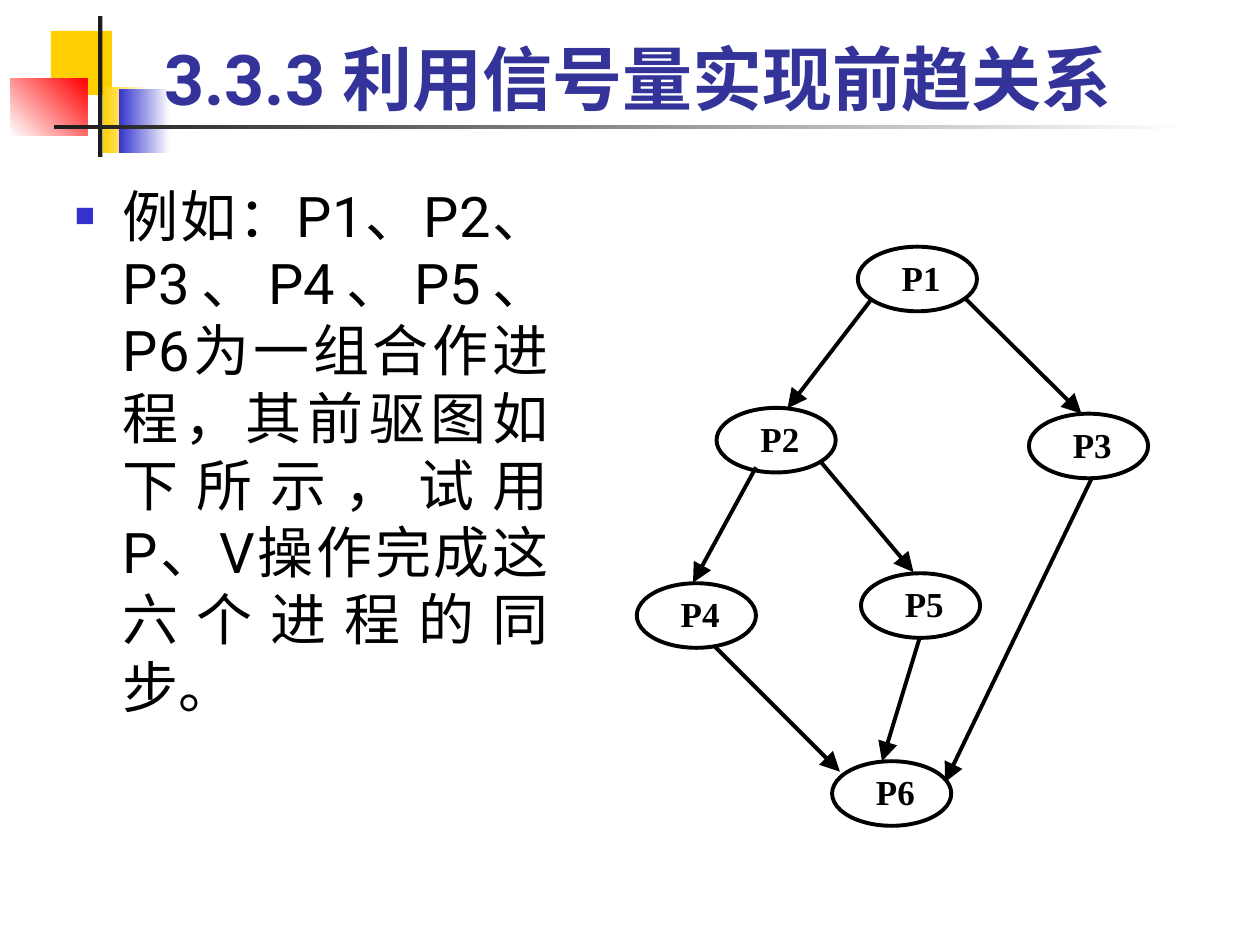
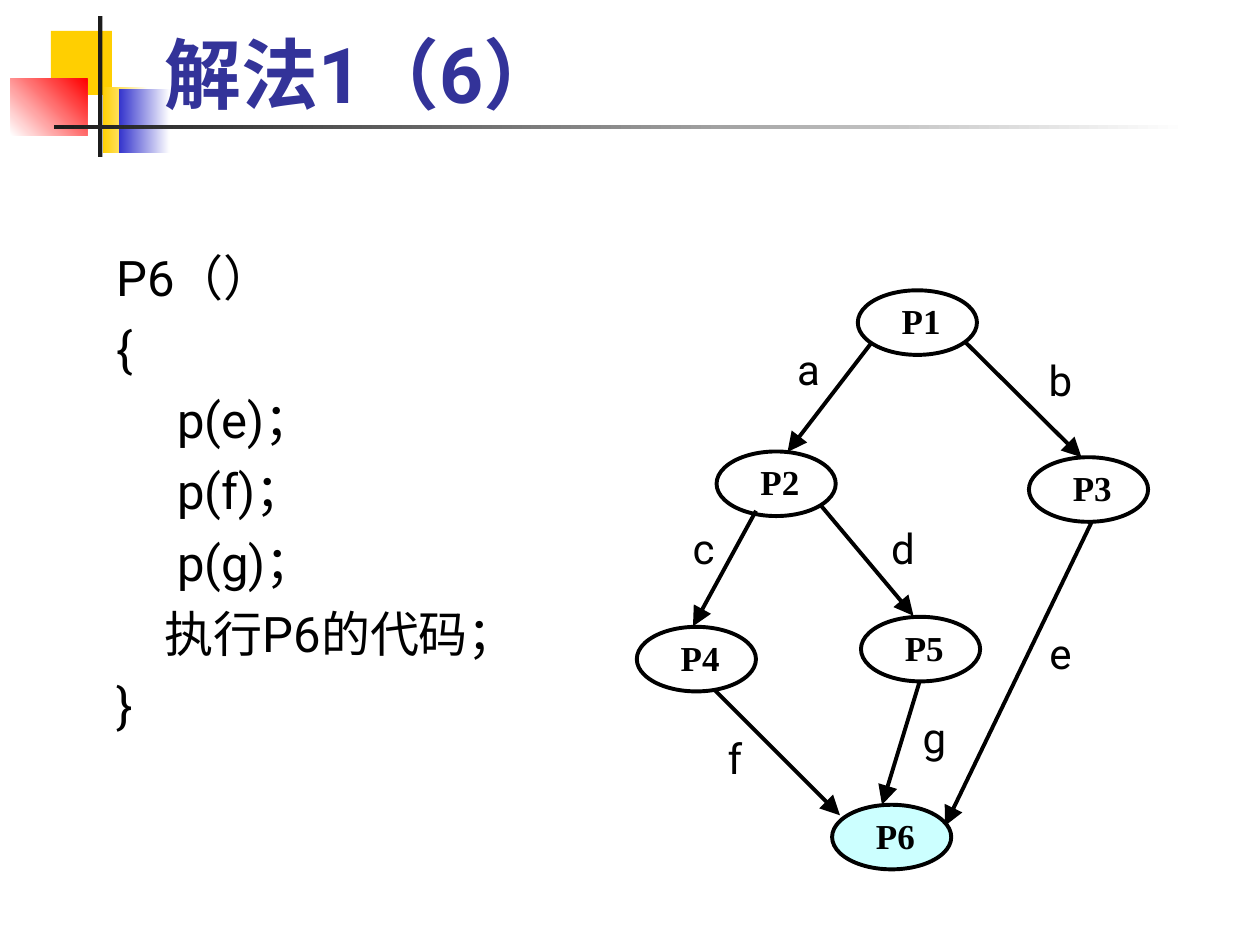
from itertools import chain

from lxml.etree import SubElement
from pptx import Presentation
from pptx.dml.color import RGBColor
from pptx.enum.shapes import MSO_CONNECTOR as Connector, MSO_SHAPE as Shape
from pptx.enum.text import MSO_ANCHOR as Anchor, PP_ALIGN as Align
from pptx.oxml.ns import qn
from pptx.util import Inches, Pt

COLORS = {
    "black": "000000", "white": "FFFFFF", "title": "333399", "charcoal": "1C1C1C",
    "yellow": "FFCF01", "blue": "3333CC", "red": "FF0000", "highlight": "CCFFFF",
}
SANS, SERIF = "Roboto", "Times New Roman"
COLUMNS, ROWS = 120, 90
WIDTH, HEIGHT = Inches(10), Inches(7.5)

BANDS = [
    ((4.85, 2.95, 5.8, 6.1), ["yellow"], 0),
    ((9.8, 8.3, 4.3, 6.25), ["yellow", "white"], 0),
    ((11.3, 8.5, 4.85, 6.1), ["blue", "white"], 0),
    ((1, 7.5, 7.3, 5.4), ["white", "red"], 45),
    ((9.35, 1.55, 0.4, 13.4), ["charcoal"], 0),
    ((5.15, 11.9, 108, 0.4), ["charcoal", "white"], 0),
]
NODE_SIZE = (11.35, 6.15)
NODES = {
    "P1": (81.7, 0), "P2": (68.25, 15.35), "P3": (98, 15.9),
    "P4": (60.65, 32.05), "P5": (82, 31.1), "P6": (79.25, 49),
}
EDGES = {
    "a": ((83, 5), (75, 15.4)), "b": ((92, 5), (103, 15.9)),
    "c": ((72, 21), (66, 32)), "d": ((78.1, 20.4), (87, 31)),
    "e": ((104, 22), (90, 51)), "f": ((68, 38), (80, 50)),
    "g": ((87.6, 37.2), (84, 49)),
}
LABELS = {
    "a": (74, 5), "b": (98, 6), "c": (64, 22), "d": (83, 22),
    "e": (98, 32), "f": (67, 42), "g": (86, 40),
}
CODE = ["P6（）", "{", "     p(e)；", "     p(f)；", "     p(g)；", "    执行P6的代码；", "}"]


def rgb(name):
    """Return the named colour."""
    return RGBColor.from_string(COLORS[name])


def grid(*lengths):
    """Turn alternating columns and rows into slide lengths."""
    cells = (WIDTH / COLUMNS, HEIGHT / ROWS)
    return [round(length * cells[i % 2]) for i, length in enumerate(lengths)]


def add_span(para, text, size, font=SANS, color="black", bold=False):
    """Add one run in the given style."""
    span = para.add_run()
    span.text = text
    span.font.size, span.font.name, span.font.bold = Pt(size), font, bold
    span.font.color.rgb = rgb(color)
    SubElement(span.font._element, qn("a:ea"), typeface=SANS)


def add_box(page, place, anchor=Anchor.TOP, wrap=True):
    """Add a text box and return its text frame."""
    frame = page.shapes.add_textbox(*grid(*place)).text_frame
    frame.word_wrap, frame.vertical_anchor = wrap, anchor
    return frame


def clear_margins(frame, left=0):
    """Remove the frame's insets, except for an optional left one."""
    frame.margin_left = left
    frame.margin_top = frame.margin_right = frame.margin_bottom = 0


def add_preset(page, kind, place, colors, angle=0):
    """Add a borderless shape with a solid or two-colour gradient fill."""
    shape = page.shapes.add_shape(kind, *grid(*place))
    shape.shadow.inherit = False
    shape.line.fill.background()
    if len(colors) == 1:
        shape.fill.solid()
        shape.fill.fore_color.rgb = rgb(colors[0])
    else:
        shape.fill.gradient()
        shape.fill.gradient_angle = angle
        for stop, color in zip(shape.fill.gradient_stops, colors):
            stop.color.rgb = rgb(color)
    return shape


def set_stroke(line):
    """Give a line the diagram's stroke."""
    line.color.rgb, line.width = rgb("black"), Pt(2.25)


def hang(para, bullet=None):
    """Justify a paragraph with a hanging indent and an optional bullet."""
    para.alignment = Align.JUSTIFY
    props = para._p.get_or_add_pPr()
    props.set("marL", str(Inches(0.38)))
    props.set("indent", str(-Inches(0.38)))
    props.set("hangingPunct", "0")
    if bullet:
        color = SubElement(props, qn("a:buClr"))
        SubElement(color, qn("a:srgbClr"), val=COLORS["blue"])
        SubElement(props, qn("a:buSzPct"), val="60000")
        SubElement(props, qn("a:buFont"), typeface=SERIF)
        SubElement(props, qn("a:buChar"), char=bullet)


def add_page(deck, title, size):
    """Add a blank page with the shared bands and a title."""
    page = deck.slides.add_slide(deck.slide_layouts[6])
    for place, colors, angle in BANDS:
        add_preset(page, Shape.RECTANGLE, place, colors, angle)
    frame = add_box(page, (14.45, 1.95, 102.2, 10), Anchor.BOTTOM)
    add_span(frame.paragraphs[0], title, size, color="title", bold=True)
    return page


def add_node(page, name, place, color):
    """Add a process ellipse."""
    node = add_preset(page, Shape.OVAL, (*place, *NODE_SIZE), [color])
    set_stroke(node.line)
    frame = node.text_frame
    clear_margins(frame, left=Inches(0.21))
    frame.vertical_anchor = Anchor.TOP
    frame.paragraphs[0].alignment = Align.JUSTIFY
    add_span(frame.paragraphs[0], name, 20, SERIF, bold=True)


def add_arrow(page, start, end):
    """Add an arrow between two grid points."""
    arrow = page.shapes.add_connector(Connector.STRAIGHT, *grid(*start, *end))
    set_stroke(arrow.line)
    stroke = arrow.line._get_or_add_ln()
    SubElement(stroke, qn("a:tailEnd"), type="triangle", w="lg", len="lg")
    SubElement(arrow._element.spPr, qn("a:effectLst"))


def add_graph(page, top, highlighted=()):
    """Draw the precedence graph from the given row."""
    for name, (column, row) in NODES.items():
        color = "highlight" if name in highlighted else "white"
        add_node(page, name, (column, top + row), color)
    for points in EDGES.values():
        add_arrow(page, *((column, top + row) for column, row in points))


def add_labels(page, top):
    """Name the edges of the graph."""
    for name, (column, row) in LABELS.items():
        frame = add_box(page, (column, top + row, 6, 5), Anchor.MIDDLE, wrap=False)
        clear_margins(frame)
        frame.paragraphs[0].alignment = Align.CENTER
        add_span(frame.paragraphs[0], name, 24)


def add_example(page):
    """Add the bulleted statement of the exercise."""
    para = add_box(page, (5.95, 16.7, 47.5, 58.6)).paragraphs[0]
    hang(para, "■")
    names = chain.from_iterable((("、", SERIF), (name, SANS)) for name in list(NODES)[1:])
    spans = [
        ("例如：P1", SANS), *names, ("为", SERIF),
        ("一组合作进程，其前驱图如下所示，试用P、V", SANS),
        ("操作完成这六个进程的同步。", SERIF),
    ]
    for text, font in spans:
        add_span(para, text, 32, font)


def add_code(page, lines):
    """Add the code of a process, one paragraph a line."""
    frame = add_box(page, (9.9, 23, 42.4, 51.2))
    for i, line in enumerate(lines):
        para = frame.add_paragraph() if i else frame.paragraphs[0]
        hang(para)
        para.space_before = Pt(7 if i else 0)
        add_span(para, line, 28)


def main():
    """Build and save the deck."""
    deck = Presentation()
    deck.slide_width, deck.slide_height = WIDTH, HEIGHT

    example = add_page(deck, "3.3.3 利用信号量实现前趋关系", 40)
    add_example(example)
    add_graph(example, 23.5)

    solution = add_page(deck, "解法1（6）", 44)
    add_code(solution, CODE)
    add_graph(solution, 27.65, highlighted=["P6"])
    add_labels(solution, 27.65)

    deck.save("out.pptx")


if __name__ == "__main__":
    main()
